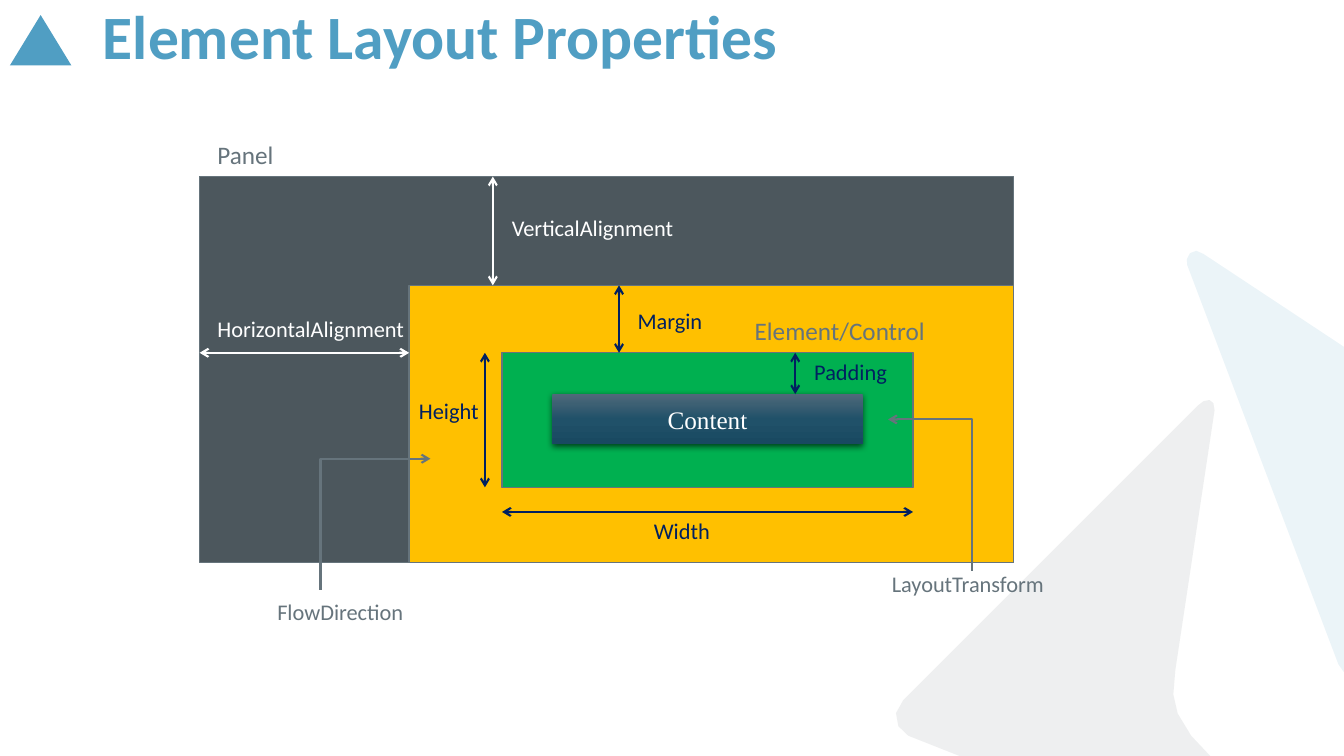
import pptx
import pptx.util
import pptx.dml.color
import pptx.enum.shapes
import pptx.enum.text
import pptx.oxml
import pptx.oxml.ns

Cm, Pt = pptx.util.Cm, pptx.util.Pt
ALIGN = pptx.enum.text.PP_ALIGN
ANCHOR = pptx.enum.text.MSO_ANCHOR
CONNECTOR = pptx.enum.shapes.MSO_CONNECTOR
SHAPE = pptx.enum.shapes.MSO_SHAPE

COLORS = {
    "blue": "509EC3", "gray": "66747C", "panel": "4C575D", "amber": "FFC000",
    "green": "00B050", "navy": "002060", "white": "FFFFFF",
}

# Edges shared by boxes and arrows, in cm
PANEL_LEFT, PANEL_TOP = 5.03, 4.45
SLOT_LEFT, SLOT_TOP, SLOT_RIGHT, SLOT_BOTTOM = 10.31, 7.19, 25.55, 14.17
CONTROL_LEFT, CONTROL_TOP, CONTROL_RIGHT, CONTROL_BOTTOM = 12.65, 8.89, 23.01, 12.28
CONTENT_LEFT, CONTENT_TOP, CONTENT_RIGHT, CONTENT_BOTTOM = 13.92, 9.93, 21.74, 11.2

BOXES = [
    (PANEL_LEFT, PANEL_TOP, SLOT_RIGHT, SLOT_BOTTOM, "panel"),
    (SLOT_LEFT, SLOT_TOP, SLOT_RIGHT, SLOT_BOTTOM, "amber"),
    (CONTROL_LEFT, CONTROL_TOP, CONTROL_RIGHT, CONTROL_BOTTOM, "green"),
]

# x1, y1, x2, y2, color
MEASURES = [
    (15.6, SLOT_TOP, 15.6, CONTROL_TOP, "navy"),
    (20.04, CONTROL_TOP, 20.04, CONTENT_TOP, "navy"),
    (SLOT_LEFT, CONTROL_TOP, PANEL_LEFT, CONTROL_TOP, "white"),
    (12.42, PANEL_TOP, 12.42, SLOT_TOP, "white"),
    (CONTROL_RIGHT, 12.9, CONTROL_LEFT, 12.9, "navy"),
    (12.22, CONTROL_TOP, 12.22, CONTROL_BOTTOM, "navy"),
]

# Arrow tip, then the end beside the label
POINTERS = [(22.38, 10.57, 24.49, 14.38), (10.85, 11.56, 8.08, 14.86)]

# text, left, top, width, size, color, wrap, alignment
LABELS = [
    ("Panel", 5.23, 3.38, 1.98, 18, "gray", False, ALIGN.LEFT),
    ("Margin", 15.82, 7.62, 2.24, 16, "navy", False, ALIGN.LEFT),
    ("Padding", 20.27, 8.89, 2.74, 16, "navy", True, ALIGN.LEFT),
    ("HorizontalAlignment", 5.23, 7.82, 5.59, 16, "white", False, ALIGN.LEFT),
    ("VerticalAlignment", 12.65, 5.28, 4.85, 16, "white", False, ALIGN.LEFT),
    ("Width", 16.23, 12.9, 2.54, 16, "navy", True, ALIGN.LEFT),
    ("Height", 10.31, 9.88, 2.34, 16, "navy", True, ALIGN.LEFT),
    ("LayoutTransform", 21.95, 14.25, 4.88, 16, "gray", True, ALIGN.CENTER),
    ("FlowDirection", 5.82, 14.94, 5.51, 16, "gray", True, ALIGN.CENTER),
    ("Element/Control", 18.77, 7.82, 5.0, 18, "gray", False, ALIGN.LEFT),
]

BACKDROP = {
    "blue": [(30.15, 6.32), (30.33, 6.4), (33.87, 8.74), (33.87, 16.94),
             (33.73, 16.74), (29.92, 6.68), (29.91, 6.53), (29.99, 6.38)],
    "gray": [(30.48, 10.08), (30.58, 10.16), (30.61, 10.34), (29.62, 16.89),
             (29.57, 17.5), (29.68, 17.98), (30.02, 18.54), (30.5, 19.05),
             (24.18, 19.05), (22.89, 18.54), (22.64, 18.3), (22.58, 17.97),
             (22.76, 17.65), (30.2, 10.21), (30.33, 10.11)],
}


def rgb(name):
    return pptx.dml.color.RGBColor.from_string(COLORS[name])


def xml(text):
    tag_end = min(i for i in (text.find(" "), text.find(">"), text.find("/")) if i > 0)
    return pptx.oxml.parse_xml(
        text[:tag_end] + " " + pptx.oxml.ns.nsdecls("a") + text[tag_end:])


def write(tf, text, color, size, align=ALIGN.LEFT, **font):
    p = tf.paragraphs[0]
    p.alignment = align
    r = p.add_run()
    r.text = text
    for name, value in {"name": "Calibri", "size": Pt(size), **font}.items():
        setattr(r.font, name, value)
    r.font.color.rgb = rgb(color)


def add_backdrop(s, color, points):
    corners = [(Cm(x), Cm(y)) for x, y in points]
    builder = s.shapes.build_freeform(*corners[0])
    builder.add_line_segments(corners[1:])
    sp = builder.convert_to_shape()
    sp.shadow.inherit = False
    sp.fill.solid()
    sp.fill.fore_color.rgb = rgb(color)
    sp.line.fill.background()
    sp.fill._xPr.find(".//" + pptx.oxml.ns.qn("a:srgbClr")).append(
        xml('<a:alpha val="11000"/>'))


def add_box(s, left, top, right, bottom, color, kind=SHAPE.RECTANGLE, outline=True):
    sp = s.shapes.add_shape(kind, Cm(left), Cm(top), Cm(right - left), Cm(bottom - top))
    sp.shadow.inherit = False
    sp.fill.solid()
    sp.fill.fore_color.rgb = rgb(color)
    if outline:
        sp.line.color.rgb = rgb("gray")
        sp.line.width = Pt(1)
    else:
        sp.line.fill.background()
    return sp


def add_content(s):
    """Gradient bar with a soft shadow in the middle of the control."""
    sp = add_box(s, CONTENT_LEFT, CONTENT_TOP, CONTENT_RIGHT, CONTENT_BOTTOM,
                 "panel", outline=False)
    stops = "".join(f'<a:gs pos="{pos}"><a:srgbClr val="{color}"/></a:gs>' for pos, color in
                    [(0, "50697A"), (50000, "205169"), (100000, "194961")])
    spPr = sp._element.spPr
    spPr.replace(spPr.find(pptx.oxml.ns.qn("a:solidFill")), xml(
        f'<a:gradFill rotWithShape="1"><a:gsLst>{stops}</a:gsLst>'
        '<a:lin ang="5400000" scaled="0"/></a:gradFill>'))
    spPr.find(pptx.oxml.ns.qn("a:effectLst")).append(xml(
        f'<a:outerShdw blurRad="{Pt(4.5)}" dist="{Pt(1.5)}" dir="5400000" rotWithShape="0">'
        '<a:srgbClr val="000000"><a:alpha val="63000"/></a:srgbClr></a:outerShdw>'))
    sp.text_frame.vertical_anchor = ANCHOR.MIDDLE
    write(sp.text_frame, "Content", "white", 18, ALIGN.CENTER, name="Times New Roman")


def add_arrow(s, x1, y1, x2, y2, color, kind=CONNECTOR.STRAIGHT, ends=("head", "tail")):
    c = s.shapes.add_connector(kind, Cm(x1), Cm(y1), Cm(x2), Cm(y2))
    c.line.color.rgb = rgb(color)
    c.line.width = Pt(1.5)
    for end in ends:
        c.line._ln.append(xml(f'<a:{end}End type="arrow"/>'))
    c._element.spPr.append(xml("<a:effectLst/>"))
    return c


def add_pointer(s, x1, y1, x2, y2):
    """Elbow arrow that turns once, right above its label."""
    c = add_arrow(s, x1, y1, x2, y2, "gray", CONNECTOR.ELBOW, ("head",))
    geometry = c._element.spPr.find(pptx.oxml.ns.qn("a:prstGeom"))
    for guides in geometry.findall(pptx.oxml.ns.qn("a:avLst")):
        geometry.remove(guides)
    geometry.append(xml('<a:avLst><a:gd name="adj1" fmla="val 100000"/></a:avLst>'))


def add_label(s, text, left, top, width, size, color, wrap, align):
    height = 1.02 if size == 18 else 0.94
    tf = s.shapes.add_textbox(Cm(left), Cm(top), Cm(width), Cm(height)).text_frame
    tf.word_wrap = wrap
    tf.auto_size = pptx.enum.text.MSO_AUTO_SIZE.SHAPE_TO_FIT_TEXT
    write(tf, text, color, size, align)


def set_title(s, text):
    title = s.shapes.title
    place = {"left": Cm(2.34), "top": Cm(0), "width": Cm(28.78), "height": Cm(2)}
    for name, value in place.items():
        setattr(title, name, value)
    tf = title.text_frame
    tf.auto_size = pptx.enum.text.MSO_AUTO_SIZE.NONE
    tf.vertical_anchor = ANCHOR.MIDDLE
    write(tf, text, "blue", 44, bold=True)
    tf.paragraphs[0].line_spacing = 0.9


def main():
    prs = pptx.Presentation()
    prs.slide_width, prs.slide_height = Cm(33.87), Cm(19.05)
    s = prs.slides.add_slide(prs.slide_layouts[5])
    for color, points in BACKDROP.items():
        add_backdrop(s, color, points)
    add_box(s, 0.25, 0.38, 1.8, 1.65, "blue", SHAPE.ISOSCELES_TRIANGLE, outline=False)
    set_title(s, "Element Layout Properties")
    for box in BOXES:
        add_box(s, *box)
    add_content(s)
    for measure in MEASURES:
        add_arrow(s, *measure)
    for pointer in POINTERS:
        add_pointer(s, *pointer)
    for label in LABELS:
        add_label(s, *label)
    prs.save("out.pptx")


if __name__ == "__main__":
    main()
